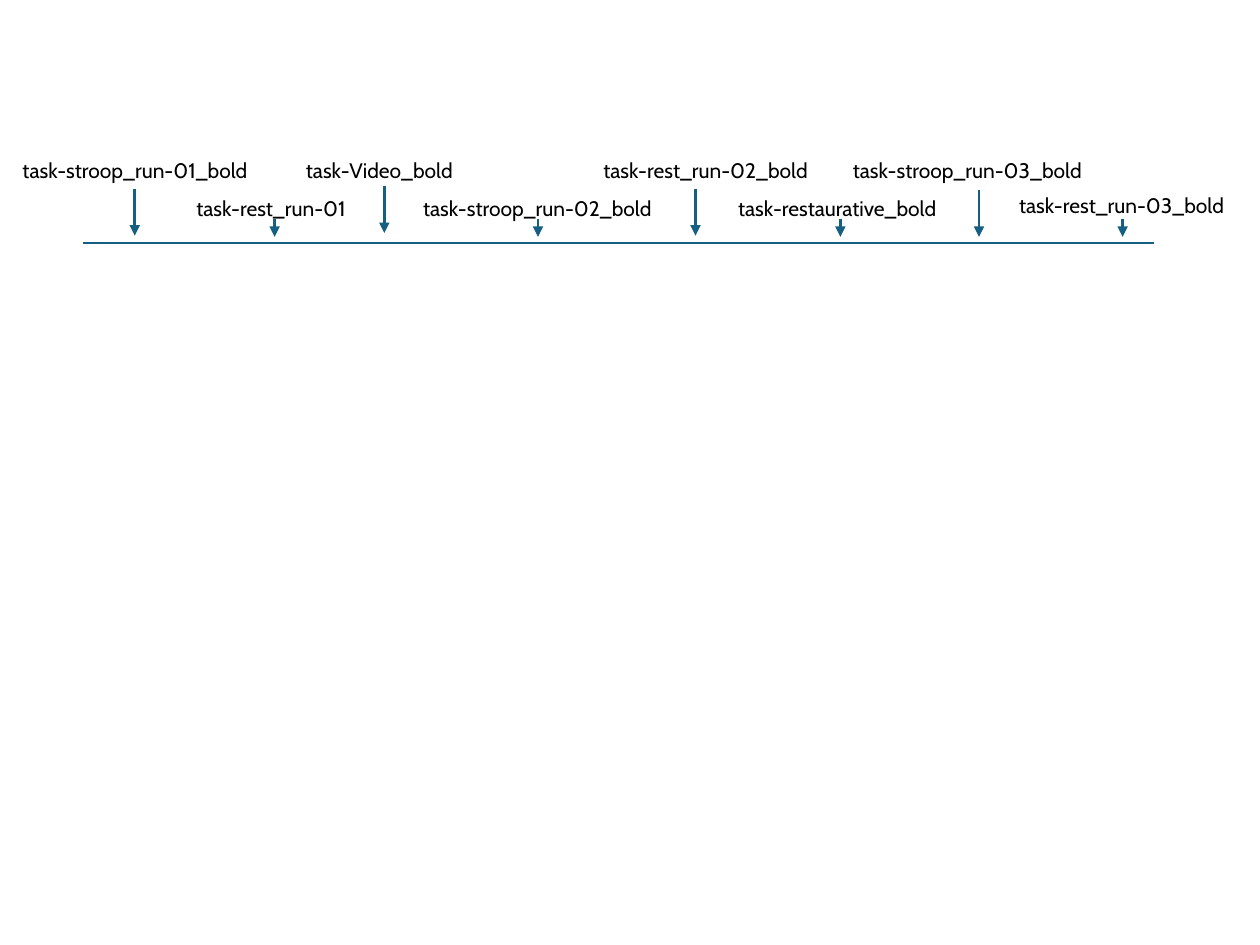
import pptx
import pptx.util
import pptx.dml.color
import pptx.enum.shapes
import pptx.enum.text
import lxml.etree
from dataclasses import dataclass
from pptx.oxml.ns import qn


@dataclass
class Theme:
    font: str = "Cabin"
    size: float = 12
    ink: str = "000000"
    line: str = "156082"
    width: float = 1.5


class Board:
    cols, rows = 100, 75

    def __init__(self, deck, theme):
        self.deck, self.theme = deck, theme
        self.slide = deck.slides.add_slide(deck.slide_layouts[6])

    def x(self, col):
        return round(self.deck.slide_width * col / self.cols)

    def y(self, row):
        return round(self.deck.slide_height * row / self.rows)

    def style(self, item, form):
        for name, value in form.items():
            setattr(item, name, value)

    def label(self, text, col, row, wide, high=3):
        box = self.slide.shapes.add_textbox(
            self.x(col), self.y(row), self.x(wide), self.y(high))
        frame = box.text_frame
        self.style(frame, {
            "word_wrap": True,
            "auto_size": pptx.enum.text.MSO_AUTO_SIZE.SHAPE_TO_FIT_TEXT,
            "text": text,
        })
        font = frame.paragraphs[0].runs[0].font
        self.style(font, {
            "name": self.theme.font,
            "size": pptx.util.Pt(self.theme.size),
        })
        font.color.rgb = pptx.dml.color.RGBColor.from_string(self.theme.ink)

    def rule(self, col, row, end_col, end_row, head=False):
        link = self.slide.shapes.add_connector(
            pptx.enum.shapes.MSO_CONNECTOR.STRAIGHT,
            self.x(col), self.y(row), self.x(end_col), self.y(end_row))
        link.line.width = pptx.util.Pt(self.theme.width)
        link.line.color.rgb = pptx.dml.color.RGBColor.from_string(self.theme.line)
        if head:
            line = link.line._get_or_add_ln()
            lxml.etree.SubElement(line, qn("a:tailEnd"), type="triangle")
        lxml.etree.SubElement(link._element.spPr, qn("a:effectLst"))

    def arrow(self, col, tip, long):
        self.rule(col, tip - long, col, tip, head=True)


HIGH, LOW = 12, 15
LONG = {HIGH: 3.7, LOW: 1.4}
AXIS = 19.3

TASKS = [
    ("task-stroop_run-01_bold", 0.8, 19.9, 10.7, 18.7),
    ("task-rest_run-01", 14.6, 14.4, 21.8, 18.8),
    ("task-Video_bold", 23.3, 14.4, 30.5, 18.5),
    ("task-stroop_run-02_bold", 32.6, 20.3, 42.7, 18.8),
    ("task-rest_run-02_bold", 46.9, 20.5, 55.2, 18.7),
    ("task-restaurative_bold", 57.6, 19.5, 66.7, 18.8),
    ("task-stroop_run-03_bold", 66.7, 20.8, 77.7, 18.8),
    ("task-rest_run-03_bold", 79.9, 18.4, 89.1, 18.8),
]


def main():
    deck = pptx.Presentation()
    deck.slide_width = pptx.util.Inches(10)
    deck.slide_height = pptx.util.Inches(7.5)
    board = Board(deck, Theme())
    board.rule(6.6, AXIS, 91.6, AXIS)
    last = len(TASKS) - 1
    for i, (text, col, wide, mark, tip) in enumerate(TASKS):
        row = LOW if i % 2 else HIGH
        lift = 0.2 if i == last else 0
        board.label(text, col, row - lift, wide)
        board.arrow(mark, tip, LONG[row])
    deck.save("out.pptx")


if __name__ == "__main__":
    main()
